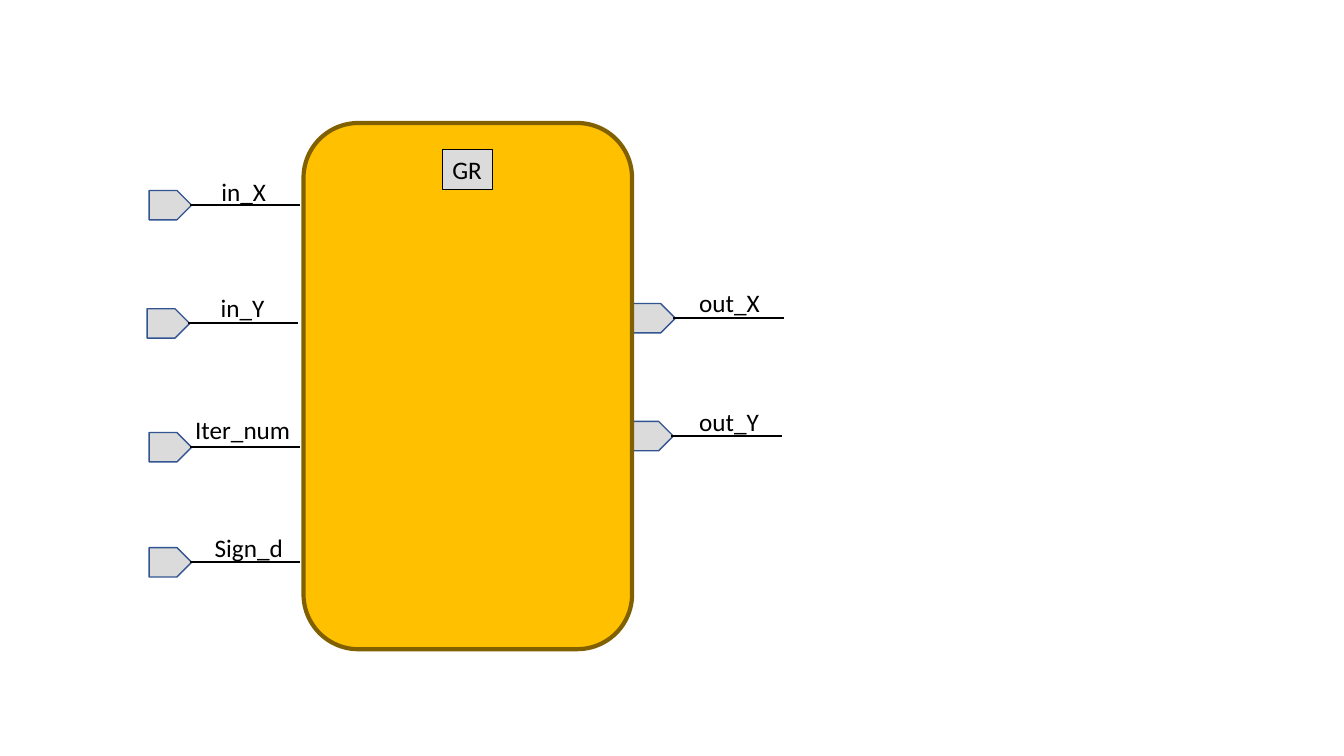
from pptx import Presentation
from pptx import util as u
from pptx.dml.color import RGBColor
from pptx.enum import shapes, text
from pptx.oxml.ns import qn
from lxml import etree

KIND = shapes.MSO_SHAPE


def colour(hex_code):
    return RGBColor.from_string(hex_code)


class Diagram:
    BLACK, GREY, BLUE, GOLD, BROWN = "000000", "DBDBDB", "325491", "FFC000", "806000"
    FONT = {"name": "Calibri", "size": u.Pt(18)}
    FRAME = {"word_wrap": False, "auto_size": text.MSO_AUTO_SIZE.SHAPE_TO_FIT_TEXT}
    TAG_WIDTH, TAG_HEIGHT = 1.07, 0.74
    WIRE_OVERLAP, WIRE_LENGTH = 0.05, 2.78
    LABEL_HEIGHT = 1.02

    def __init__(self, slide):
        self.shapes = slide.shapes

    def block(self, kind, box, fill, line, weight):
        block = self.shapes.add_shape(kind, *map(u.Cm, box))
        block.shadow.inherit = False
        block.fill.solid()
        block.fill.fore_color.rgb = colour(fill)
        block.line.color.rgb = colour(line)
        block.line.width = u.Pt(weight)
        return block

    def put_text(self, holder, wording):
        frame = holder.text_frame
        for name, value in self.FRAME.items():
            setattr(frame, name, value)
        paragraph = frame.paragraphs[0]
        paragraph.alignment = text.PP_ALIGN.LEFT
        run = paragraph.add_run()
        run.text = wording
        for name, value in self.FONT.items():
            setattr(run.font, name, value)
        run.font.color.rgb = colour(self.BLACK)

    def label(self, wording, left, top, width):
        box = map(u.Cm, (left, top, width, self.LABEL_HEIGHT))
        self.put_text(self.shapes.add_textbox(*box), wording)

    def wire(self, left, y):
        ends = map(u.Cm, (left + self.WIRE_LENGTH, y, left, y))
        wire = self.shapes.add_connector(shapes.MSO_CONNECTOR.STRAIGHT, *ends)
        wire.line.color.rgb = colour(self.BLACK)
        wire.line.width = u.Pt(1.5)
        etree.SubElement(wire._element.spPr, qn("a:effectLst"))

    def port(self, name, left, top, label_left, label_top, label_width):
        """Draw a port tag with its wire and signal name."""
        tag = (left, top, self.TAG_WIDTH, self.TAG_HEIGHT)
        self.block(KIND.PENTAGON, tag, self.GREY, self.BLUE, 1)
        self.wire(left + self.TAG_WIDTH - self.WIRE_OVERLAP, top + self.TAG_HEIGHT / 2)
        self.label(name, label_left, label_top, label_width)


# Signal name, tag left and top, label left, top and width, in cm
OUTPUTS = [
    ("out_Y", 15.9, 10.62, 17.37, 10.11, 2.03),
    ("out_X", 15.95, 7.65, 17.37, 7.11, 2.06),
]
INPUTS = [
    ("Sign_d", 3.76, 13.8, 5.16, 13.28, 2.26),
    ("in_Y", 3.71, 7.78, 5.31, 7.24, 1.63),
    ("in_X", 3.76, 4.8, 5.33, 4.32, 1.65),
    ("Iter_num", 3.76, 10.9, 4.67, 10.31, 2.92),
]


def main():
    deck = Presentation()
    deck.slide_width, deck.slide_height = u.Cm(33.87), u.Cm(19.05)
    diagram = Diagram(deck.slides.add_slide(deck.slide_layouts[6]))

    for signal in OUTPUTS:
        diagram.port(*signal)
    # The module body covers the left edge of the output tags
    diagram.block(KIND.ROUNDED_RECTANGLE, (7.65, 3.1, 8.28, 13.26),
                  diagram.GOLD, diagram.BROWN, 3)
    module_name = diagram.block(KIND.RECTANGLE, (11.15, 3.76, 1.27, 1.02),
                                diagram.GREY, diagram.BLACK, 0.75)
    diagram.put_text(module_name, "GR")
    for signal in INPUTS:
        diagram.port(*signal)

    deck.save("out.pptx")


if __name__ == "__main__":
    main()
